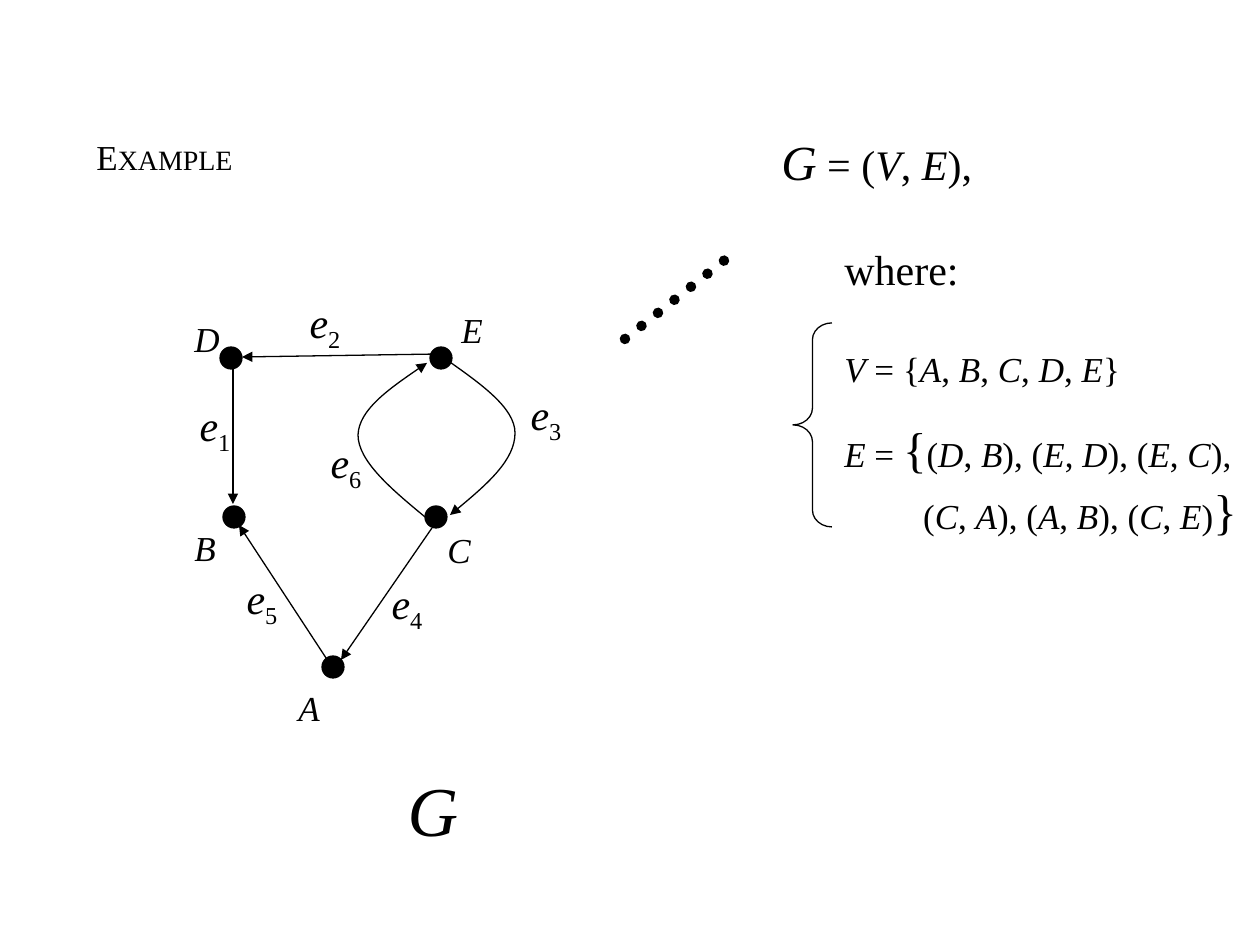
import itertools
import pptx
import pptx.util
import pptx.dml.color
import pptx.enum.dml
import pptx.enum.shapes
import pptx.enum.text
import pptx.oxml.ns
import pptx.oxml.xmlchemy

PX = 914400 // 126
BLACK = pptx.dml.color.RGBColor(0, 0, 0)
WHITE = pptx.dml.color.RGBColor(255, 255, 255)
FONT = "Times New Roman"
SHAPE = pptx.enum.shapes.MSO_SHAPE
ALIGN = pptx.enum.text.PP_ALIGN
ANCHOR = pptx.enum.text.MSO_ANCHOR
qn = pptx.oxml.ns.qn


def px(*values):
    return [pptx.util.Emu(v * PX) for v in values]


def add_child(parent, tag, **attrs):
    child = pptx.oxml.xmlchemy.OxmlElement(tag)
    for name, value in attrs.items():
        child.set(name, value)
    parent.append(child)
    return child


def style_line(sp, width=0.75, arrow=False):
    sp.line.color.rgb = BLACK
    sp.line.width = pptx.util.Pt(width)
    if arrow:
        add_child(sp.line._get_or_add_ln(), "a:tailEnd", type="triangle")


def add_line(s, start, end, width=0.75, arrow=False, dash=None):
    sp = s.shapes.add_connector(pptx.enum.shapes.MSO_CONNECTOR.STRAIGHT, *px(*start, *end))
    style_line(sp, width, arrow)
    if dash:
        sp.line.dash_style = dash
        sp.line._get_or_add_ln().set("cap", "rnd")
    add_child(sp._element.spPr, "a:effectLst")


def add_curve(s, points):
    fb = s.shapes.build_freeform(*points[0], scale=PX)
    fb.add_line_segments(points[1:], close=False)
    sp = fb.convert_to_shape()
    outline = sp._element.spPr.find(".//" + qn("a:path"))
    segments = outline.findall(qn("a:lnTo"))
    for i in range(0, len(segments), 3):
        curve = add_child(outline, "a:cubicBezTo")
        for segment in segments[i:i + 3]:
            curve.append(segment[0])
            outline.remove(segment)
    sp.shadow.inherit = False
    sp.fill.background()
    style_line(sp, arrow=True)


def math_runs(text, size, sizes=None):
    runs = []
    for (italic, sz), chars in itertools.groupby(
            text, lambda c: (c.isalpha(), (sizes or {}).get(c, size))):
        runs.append(dict(text="".join(chars), size=sz, italic=italic))
    return runs


def add_text(p, text, size=24, italic=False, baseline=None):
    r = p.add_run()
    r.text = text
    r.font.name = FONT
    r.font.size = pptx.util.Pt(size)
    r.font.italic = italic
    r.font.color.rgb = BLACK
    if baseline:
        r.font._element.set("baseline", str(baseline))


def add_box(s, x, y, w, h, lines, align=ALIGN.LEFT, anchor=ANCHOR.TOP, wrap=True):
    tf = s.shapes.add_textbox(*px(x, y, w, h)).text_frame
    tf.word_wrap = wrap
    tf.vertical_anchor = anchor
    for i, (runs, before, indent) in enumerate(lines):
        p = tf.add_paragraph() if i else tf.paragraphs[0]
        p.alignment = align
        p.space_before = pptx.util.Pt(before)
        if indent:
            p._p.get_or_add_pPr().set("marL", str(pptx.util.Pt(indent)))
        for run in runs:
            add_text(p, **run)


def add_label(s, cx, cy, runs, w=58, h=62):
    add_box(s, cx - w // 2, cy - h // 2, w, h, [(runs, 0, 0)],
            align=ALIGN.CENTER, anchor=ANCHOR.MIDDLE, wrap=False)


def graph(s, x, y):
    def at(point):
        return x + point[0], y + point[1]

    nodes = {
        "A": ((153, 367), (129, 408)),
        "B": ((54, 217), (25, 248)),
        "C": ((256, 217), (279, 250)),
        "D": ((51, 58), (27, 38)),
        "E": ((261, 58), (292, 30)),
    }
    edges = [
        ((150, 364), (59, 225)),
        ((252, 228), (161, 360)),
        ((53, 57), (53, 204)),
        ((258, 54), (62, 57)),
    ]
    curves = [
        [(245, 217), (211, 189), (178, 161), (178, 135), (179, 110), (213, 86), (247, 63)],
        [(267, 60), (301, 84), (335, 108), (335, 133), (335, 160), (303, 188), (270, 215)],
    ]
    edge_labels = [(35, 128), (145, 25), (366, 117), (227, 306), (82, 301), (166, 165)]
    d = 22
    for name, (centre, label) in nodes.items():
        cx, cy = at(centre)
        sp = s.shapes.add_shape(SHAPE.OVAL, *px(cx - d // 2, cy - d // 2, d, d))
        sp.shadow.inherit = False
        sp.fill.solid()
        sp.fill.fore_color.rgb = BLACK
        style_line(sp)
        add_label(s, *at(label), math_runs(name, 20))
    for start, end in edges:
        add_line(s, at(start), at(end), arrow=True)
    for points in curves:
        add_curve(s, [at(point) for point in points])
    for i, label in enumerate(edge_labels, 1):
        add_label(s, *at(label), [dict(text="e", italic=True), dict(text=str(i), baseline=-25000)])
    add_label(s, x + 253, y + 508, math_runs("G", 40), w=76, h=97)


def definition(s, x, y, w, h):
    big = {"{": 28, "}": 28}
    add_box(s, x, y, w, h, [
        (math_runs("G = (V, E),", 24, {"G": 28}), 0, 0),
        ([dict(text="where:")], 30.3, 36),
        (math_runs("V = {A, B, C, D, E}", 20), 30.7, 36),
        (math_runs("E = {(D, B), (E, D), (E, C),", 20, big), 17, 36),
        (math_runs("(C, A), (A, B), (C, E)}", 20, big), 1.5, 81),
    ])
    brace = s.shapes.add_shape(SHAPE.LEFT_BRACE, *px(x + 24, y + 198, 39, 204))
    brace.adjustments[0] = 0.43
    brace.adjustments[1] = 0.5
    brace.shadow.inherit = False
    brace.fill.background()
    style_line(brace)


prs = pptx.Presentation()
prs.slide_width = pptx.util.Inches(10)
prs.slide_height = pptx.util.Inches(7.5)
s = prs.slides.add_slide(prs.slide_layouts[6])
s.background.fill.solid()
s.background.fill.fore_color.rgb = WHITE
add_box(s, 84, 129, 180, 54, [([dict(text="E", size=20), dict(text="XAMPLE", size=16)], 0, 0)])
graph(s, 180, 300)
add_line(s, (625, 339), (735, 252), width=6, dash=pptx.enum.dml.MSO_LINE.ROUND_DOT)
definition(s, 769, 125, 491, 407)
prs.save("out.pptx")
